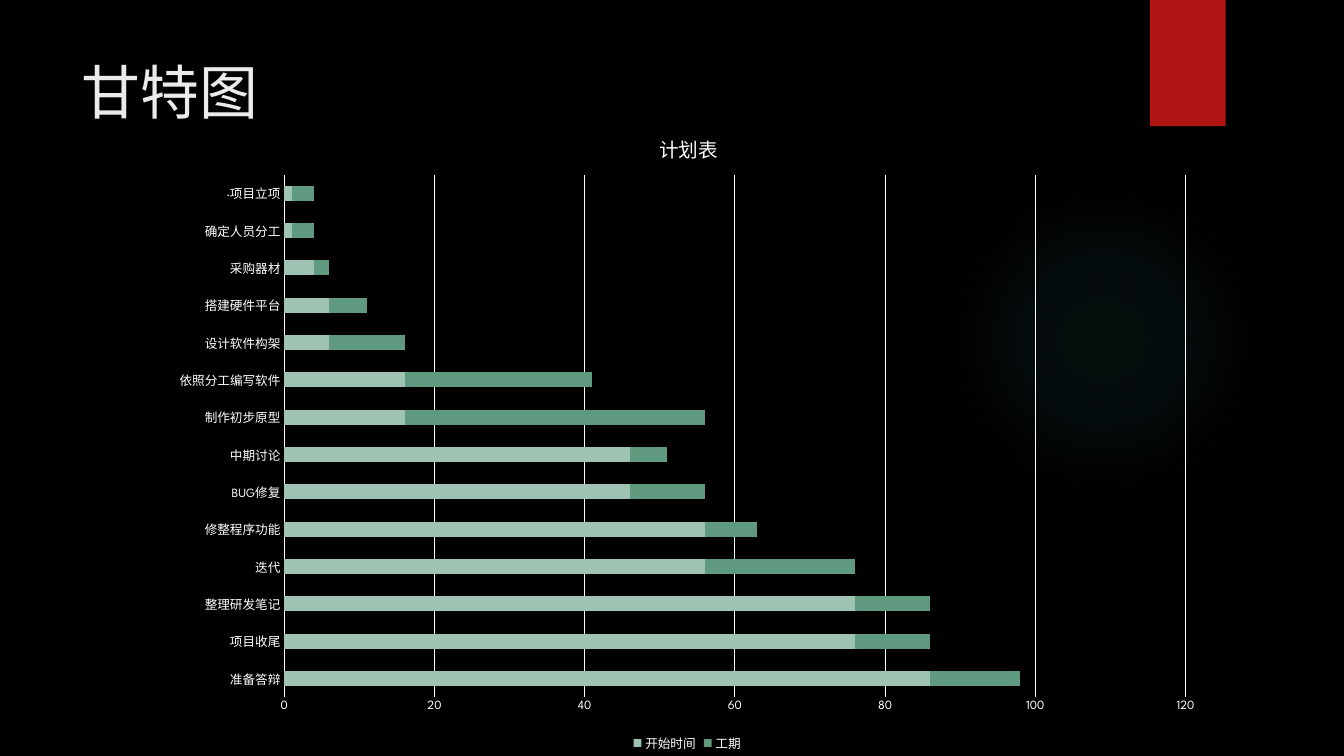
from dataclasses import dataclass

from pptx import Presentation
from pptx.chart.data import CategoryChartData
from pptx.dml.color import RGBColor
from pptx.enum.chart import XL_CHART_TYPE as ChartType
from pptx.enum.chart import XL_LEGEND_POSITION as LegendPosition
from pptx.enum.chart import XL_TICK_MARK as TickMark
from pptx.enum.shapes import MSO_SHAPE as Preset
from pptx.enum.text import MSO_ANCHOR as Anchor
from pptx.enum.text import PP_ALIGN as Align
from pptx.oxml import parse_xml
from pptx.oxml.ns import nsdecls, qn
from pptx.util import Cm, Pt


@dataclass(frozen=True)
class Theme:
    font: str = "League Spartan"
    background: str = "000000"
    title: str = "EBEBEB"
    chart_text: str = "FFFFFF"
    accent: str = "B01513"
    glow: str = "50B9C1"
    start: str = "9EC3B2"
    duration: str = "5E9980"
    title_size: int = 42
    chart_title_size: int = 14
    label_size: int = 9
    line_width: float = 0.75


THEME = Theme()

# Task, start day, duration in days
TASKS = [
    ("·项目立项", 1, 3),
    ("确定人员分工", 1, 3),
    ("采购器材", 4, 2),
    ("搭建硬件平台", 6, 5),
    ("设计软件构架", 6, 10),
    ("依照分工编写软件", 16, 25),
    ("制作初步原型", 16, 40),
    ("中期讨论", 46, 5),
    ("BUG修复", 46, 10),
    ("修整程序功能", 56, 7),
    ("迭代", 56, 20),
    ("整理研发笔记", 76, 10),
    ("项目收尾", 76, 10),
    ("准备答辩", 86, 12),
]


def rgb(value):
    return RGBColor.from_string(value)


def style_font(font, size, color):
    font.name = THEME.font
    font.size = Pt(size)
    font.color.rgb = rgb(color)


def add_plain_shape(slide, preset, left, top, width, height):
    shape = slide.shapes.add_shape(preset, Cm(left), Cm(top), Cm(width), Cm(height))
    shape.shadow.inherit = False
    shape.line.fill.background()
    return shape


def add_glow(slide):
    """Add a circle that fades out from its centre."""
    glow = add_plain_shape(slide, Preset.OVAL, 23.9, 4.65, 7.82, 7.82)
    glow.fill.background()
    stops = "".join(
        f'<a:gs pos="{position * 1000}"><a:srgbClr val="{THEME.glow}">'
        f'<a:alpha val="{opacity * 1000}"/></a:srgbClr></a:gs>'
        for position, opacity in ((0, 7), (36, 6), (69, 0))
    )
    gradient = parse_xml(
        f'<a:gradFill {nsdecls("a")} rotWithShape="1"><a:gsLst>{stops}</a:gsLst>'
        '<a:path path="circle">'
        '<a:fillToRect l="50000" t="50000" r="50000" b="50000"/>'
        "</a:path></a:gradFill>"
    )
    properties = glow._element.spPr
    properties.replace(properties.find(qn("a:noFill")), gradient)


def add_ribbon(slide):
    ribbon = add_plain_shape(slide, Preset.RECTANGLE, 28.98, 0, 1.91, 3.18)
    ribbon.fill.solid()
    ribbon.fill.fore_color.rgb = rgb(THEME.accent)


def set_title(slide, text):
    title = slide.shapes.title
    title.left, title.top, title.width, title.height = (
        Cm(1.8), Cm(1.27), Cm(26.14), Cm(3.89))
    frame = title.text_frame
    frame.text = text
    frame.vertical_anchor = Anchor.TOP
    heading = frame.paragraphs[0]
    heading.alignment = Align.LEFT
    style_font(heading.font, THEME.title_size, THEME.title)


def place(element, inner=False, **fractions):
    """Fix a chart part at fractions of the chart's size."""
    for old in element.findall(qn("c:layout")):
        element.remove(old)
    target = '<c:layoutTarget val="inner"/>' if inner else ""
    modes = "".join(f'<c:{side}Mode val="edge"/>' for side in "xy")
    sizes = "".join(f'<c:{key} val="{value}"/>' for key, value in fractions.items())
    layout = parse_xml(
        f'<c:layout {nsdecls("c")}><c:manualLayout>{target}{modes}{sizes}'
        "</c:manualLayout></c:layout>"
    )
    text = element.find(qn("c:tx"))
    element.insert(0 if text is None else 1, layout)


def style_line(line):
    line.color.rgb = rgb(THEME.chart_text)
    line.width = Pt(THEME.line_width)


def style_axes(chart):
    tasks, days = chart.category_axis, chart.value_axis
    for axis in (tasks, days):
        axis.major_tick_mark = axis.minor_tick_mark = TickMark.NONE
        style_font(axis.tick_labels.font, THEME.label_size, THEME.chart_text)
    tasks.has_major_gridlines = False
    style_line(tasks.format.line)
    days.minimum_scale, days.maximum_scale, days.major_unit = 0, 120, 20
    days.format.line.fill.background()
    style_line(days.major_gridlines.format.line)


def add_gantt(slide, heading):
    names, starts, durations = zip(*reversed(TASKS))
    schedule = CategoryChartData()
    schedule.categories = names
    schedule.add_series("开始时间", starts)
    schedule.add_series("工期", durations)
    chart = slide.shapes.add_chart(
        ChartType.BAR_STACKED, Cm(3.96), Cm(2.59), Cm(26.72), Cm(16.46), schedule
    ).chart
    style_font(chart.font, THEME.label_size, THEME.chart_text)

    chart.has_title = True
    chart.chart_title.include_in_layout = False
    chart.chart_title.text_frame.text = heading
    caption = chart.chart_title.text_frame.paragraphs[0]
    style_font(caption.font, THEME.chart_title_size, THEME.chart_text)
    caption.font.bold = False
    place(chart.chart_title._element, x=0.47, y=0.04)
    place(chart._chartSpace.chart.plotArea, inner=True, x=0.12, y=0.11, w=0.85, h=0.8)

    bars = chart.plots[0]
    bars.gap_width, bars.overlap = 150, 100
    bars.vary_by_categories = False
    for series, color in zip(bars.series, (THEME.start, THEME.duration)):
        series.format.fill.solid()
        series.format.fill.fore_color.rgb = rgb(color)
    style_axes(chart)

    chart.has_legend = True
    chart.legend.position = LegendPosition.BOTTOM
    chart.legend.include_in_layout = False
    style_font(chart.legend.font, THEME.label_size, THEME.chart_text)


def main():
    deck = Presentation()
    deck.slide_width, deck.slide_height = Cm(33.87), Cm(19.05)
    slide = deck.slides.add_slide(deck.slide_layouts.get_by_name("Title Only"))
    slide.background.fill.solid()
    slide.background.fill.fore_color.rgb = rgb(THEME.background)
    add_glow(slide)
    add_ribbon(slide)
    set_title(slide, "甘特图")
    add_gantt(slide, "计划表")
    deck.save("out.pptx")


if __name__ == "__main__":
    main()
